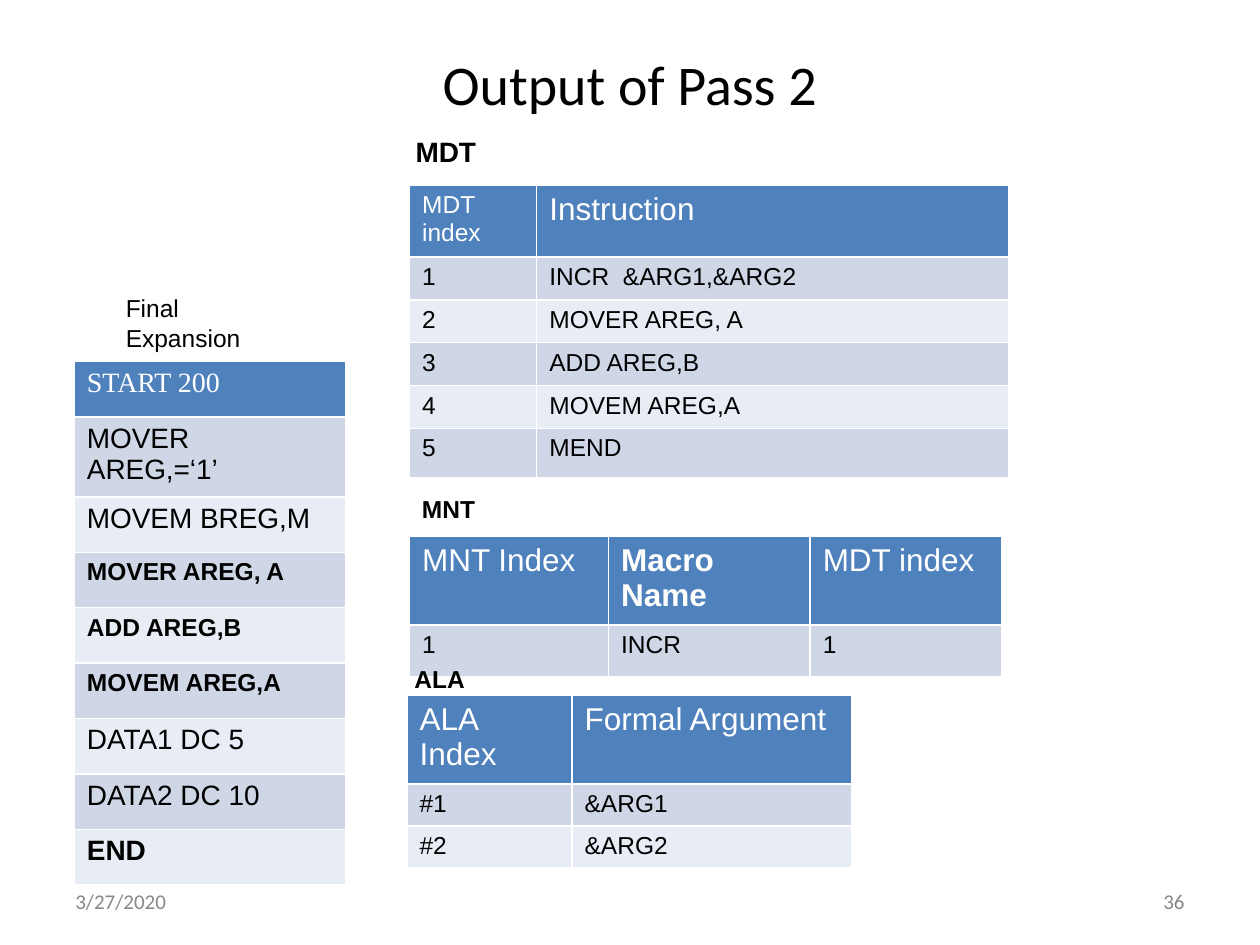
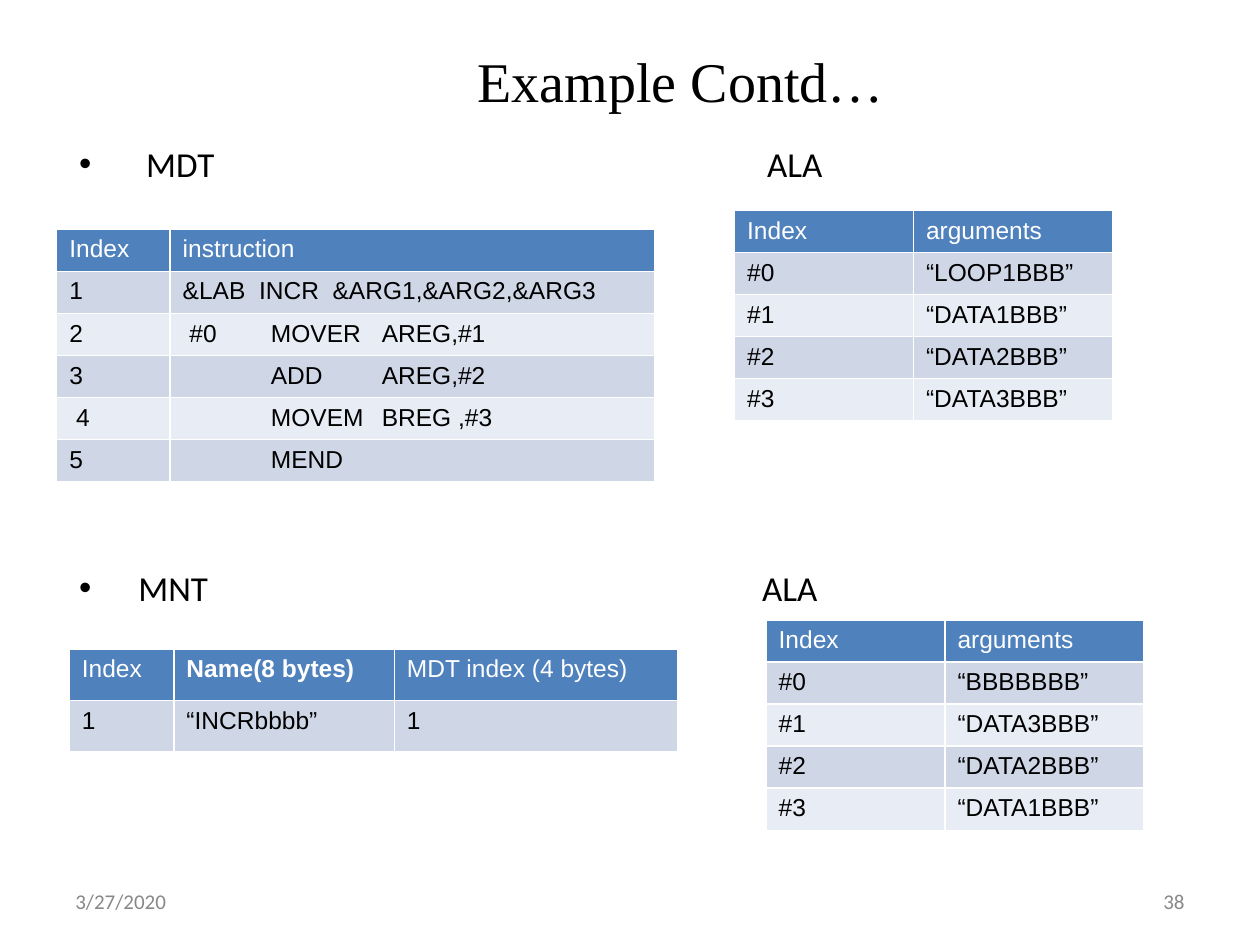
import pptx
import pptx.dml.color
import pptx.enum.text
import pptx.oxml
import pptx.oxml.ns
import pptx.util
from dataclasses import dataclass

Inches = pptx.util.Inches
Pt = pptx.util.Pt
ALIGN = pptx.enum.text.PP_ALIGN
ANCHOR = pptx.enum.text.MSO_ANCHOR


@dataclass(frozen=True)
class Theme:
    ink: str = "000000"
    white: str = "FFFFFF"
    grey: str = "888888"
    header: str = "4F81BD"
    bands: tuple = ("CFD7E7", "E8ECF4")
    body: str = "Arial"
    heading: str = "Calibri"
    serif: str = "Times New Roman"
    title_size: int = 32
    bullet_size: int = 20
    large: int = 18
    medium: int = 16
    small: int = 14
    footer_size: int = 12


T = Theme()
BOLD = {"bold": True}
BOLD_SMALL = {"bold": True, "size": T.small}
CODE_TABS = (0.7, 1.58)  # operation and operand columns, inches
DATE = "3/27/2020"

# Cells are text, or (text, format).
EXPANSION = [
    [("START 200", {"font": T.serif})],
    ["MOVER  AREG,=‘1’"],
    ["MOVEM BREG,M"],
    [("MOVER AREG, A", BOLD_SMALL)],
    [("ADD AREG,B", BOLD_SMALL)],
    [("MOVEM AREG,A", BOLD_SMALL)],
    ["DATA1 DC 5"],
    ["DATA2 DC 10"],
    [("END", BOLD)],
]
PASS2_MDT = [
    [("MDT index", {"size": T.small}), "Instruction"],
    ["1", "INCR  &ARG1,&ARG2"],
    ["2", "MOVER AREG, A"],
    ["3", "ADD AREG,B"],
    ["4", "MOVEM AREG,A"],
    ["5", "MEND"],
]
PASS2_MNT = [["MNT Index", ("Macro Name", BOLD), "MDT index"], ["1", "INCR", "1"]]
PASS2_ALA = [["ALA Index", "Formal Argument"], ["#1", "&ARG1"], ["#2", "&ARG2"]]

EXAMPLE_MDT = [
    ["Index", "instruction"],
    ["1", "&LAB  INCR  &ARG1,&ARG2,&ARG3"],
    ["2", (" #0\tMOVER\tAREG,#1", {"tabs": CODE_TABS})],
    ["3", ("\tADD\tAREG,#2", {"tabs": CODE_TABS})],
    [" 4", ("\tMOVEM\tBREG ,#3", {"tabs": CODE_TABS})],
    ["5", ("\tMEND", {"tabs": CODE_TABS})],
]
EXAMPLE_MNT = [["Index", ("Name(8 bytes)", BOLD), "MDT index (4 bytes)"],
               ["1", "“INCRbbbb”", "1"]]


def ala_rows(*arguments):
    return [["Index", "arguments"]] + [[f"#{i}", f"“{a}”"] for i, a in enumerate(arguments)]


# title: (text, left, top, width, height, font)
# labels: (text, left, top, width, height, format)
# tables: (rows, left, top, column widths, row heights, header size, body size)
SLIDES = [
    {
        "title": ("Output of Pass 2", 0.5, 0.3, 9, 0.72, T.heading),
        "number": "36",
        "tables": [
            (EXPANSION, 0.59, 2.87, [2.15], [0.44, 0.58] + [0.44] * 7, T.medium, T.medium),
            (PASS2_MDT, 3.25, 1.47, [1.01, 3.75], [0.57] + [0.34] * 4 + [0.39], T.large, T.small),
            (PASS2_MNT, 3.25, 4.26, [1.58, 1.6, 1.52], [0.41] * 2, T.large, T.small),
            (PASS2_ALA, 3.23, 5.52, [1.31, 2.22], [0.31] * 3, T.large, T.small),
        ],
        "labels": [
            ("MDT", 3.2, 1.02, 1.61, 0.37, {"size": T.medium, "bold": True}),
            ("MNT", 3.25, 3.87, 1.04, 0.34, BOLD_SMALL),
            ("ALA", 3.19, 5.22, 1.43, 0.34, BOLD_SMALL),
            ("Final Expansion", 0.9, 2.28, 1.53, 0.57, {}),
        ],
    },
    {
        "title": ("Example Contd…", 1.31, 0.3, 8.19, 0.67, T.serif),
        "number": "38",
        "bullets": [(" MDT", 0), ("MNT", 218.5)],
        "tables": [
            (EXAMPLE_MDT, 0.45, 1.82, [0.9, 3.85], [0.33] * 6, T.small, T.small),
            (EXAMPLE_MNT, 0.55, 5.15, [0.83, 1.75, 2.25], [0.41] * 2, T.small, T.small),
            (ala_rows("LOOP1BBB", "DATA1BBB", "DATA2BBB", "DATA3BBB"),
             5.83, 1.67, [1.42, 1.58], [0.32] * 5, T.small, T.small),
            (ala_rows("BBBBBBB", "DATA3BBB", "DATA2BBB", "DATA1BBB"),
             6.08, 4.92, [1.42, 1.58], [0.32] * 5, T.small, T.small),
        ],
        "labels": [
            ("ALA", left, top, 1, 0.44, {"size": T.bullet_size, "font": T.heading})
            for left, top in ((5.99, 1.08), (5.95, 4.45))
        ],
    },
]


def rgb(value):
    return pptx.dml.color.RGBColor.from_string(value)


def xml_child(parent, tag, **attributes):
    el = pptx.oxml.parse_xml(f'<a:{tag} {pptx.oxml.ns.nsdecls("a")}/>')
    for key, value in attributes.items():
        el.set(key, str(value))
    parent.append(el)
    return el


def write(p, text, size=T.small, font=T.body, color=T.ink, bold=False,
          align=ALIGN.LEFT, tabs=()):
    p.alignment = align
    if tabs:
        tab_list = xml_child(p._p.get_or_add_pPr(), "tabLst")
        for tab in tabs:
            xml_child(tab_list, "tab", pos=Inches(tab), algn="l")
    r = p.add_run()
    r.text = text
    r.font.size, r.font.name, r.font.bold = Pt(size), font, bold
    r.font.color.rgb = rgb(color)


def add_box(s, left, top, width, height, anchor=ANCHOR.TOP):
    sp = s.shapes.add_textbox(Inches(left), Inches(top), Inches(width), Inches(height))
    tf = sp.text_frame
    tf.word_wrap = True
    tf.vertical_anchor = anchor
    return tf


def add_bullets(s, items):
    tf = add_box(s, 0.5, 1.08, 5, 6.42)
    for i, (text, space_before) in enumerate(items):
        p = tf.add_paragraph() if i else tf.paragraphs[0]
        p.space_before = Pt(space_before)
        pPr = p._p.get_or_add_pPr()
        pPr.set("marL", str(Inches(0.5)))
        pPr.set("indent", str(Inches(-0.47)))
        xml_child(pPr, "buFont", typeface="Arial")
        xml_child(pPr, "buChar", char="•")
        write(p, text, size=T.bullet_size, font=T.heading)


def add_table(s, rows, left, top, widths, heights, header_size, body_size):
    frame = s.shapes.add_table(len(rows), len(widths), Inches(left), Inches(top),
                               Inches(sum(widths)), Inches(sum(heights)))
    table = frame.table
    for column, width in zip(table.columns, widths):
        column.width = Inches(width)
    for i, (row, height) in enumerate(zip(rows, heights)):
        table.rows[i].height = Inches(height)
        fill = T.bands[(i - 1) % 2] if i else T.header
        base = {"size": body_size if i else header_size,
                "color": T.ink if i else T.white}
        for j, item in enumerate(row):
            text, extra = item if isinstance(item, tuple) else (item, {})
            cell = table.cell(i, j)
            cell.fill.solid()
            cell.fill.fore_color.rgb = rgb(fill)
            write(cell.text_frame.paragraphs[0], text, **{**base, **extra})


def add_frame(s, title, number):
    """Title, date and slide number."""
    text, *place, font = title
    write(add_box(s, *place, ANCHOR.MIDDLE).paragraphs[0], text,
          size=T.title_size, font=font, align=ALIGN.CENTER)
    for text, left, align in ((DATE, 0.5, ALIGN.LEFT), (number, 7.17, ALIGN.RIGHT)):
        write(add_box(s, left, 6.95, 2.33, 0.4, ANCHOR.MIDDLE).paragraphs[0], text,
              size=T.footer_size, font=T.heading, color=T.grey, align=align)


def main():
    prs = pptx.Presentation()
    prs.slide_width, prs.slide_height = Inches(10), Inches(7.5)
    for content in SLIDES:
        s = prs.slides.add_slide(prs.slide_layouts[6])
        add_frame(s, content["title"], content["number"])
        if "bullets" in content:
            add_bullets(s, content["bullets"])
        for table in content["tables"]:
            add_table(s, *table)
        for text, *place, style in content["labels"]:
            write(add_box(s, *place).paragraphs[0], text, **style)
    prs.save("out.pptx")


if __name__ == "__main__":
    main()
